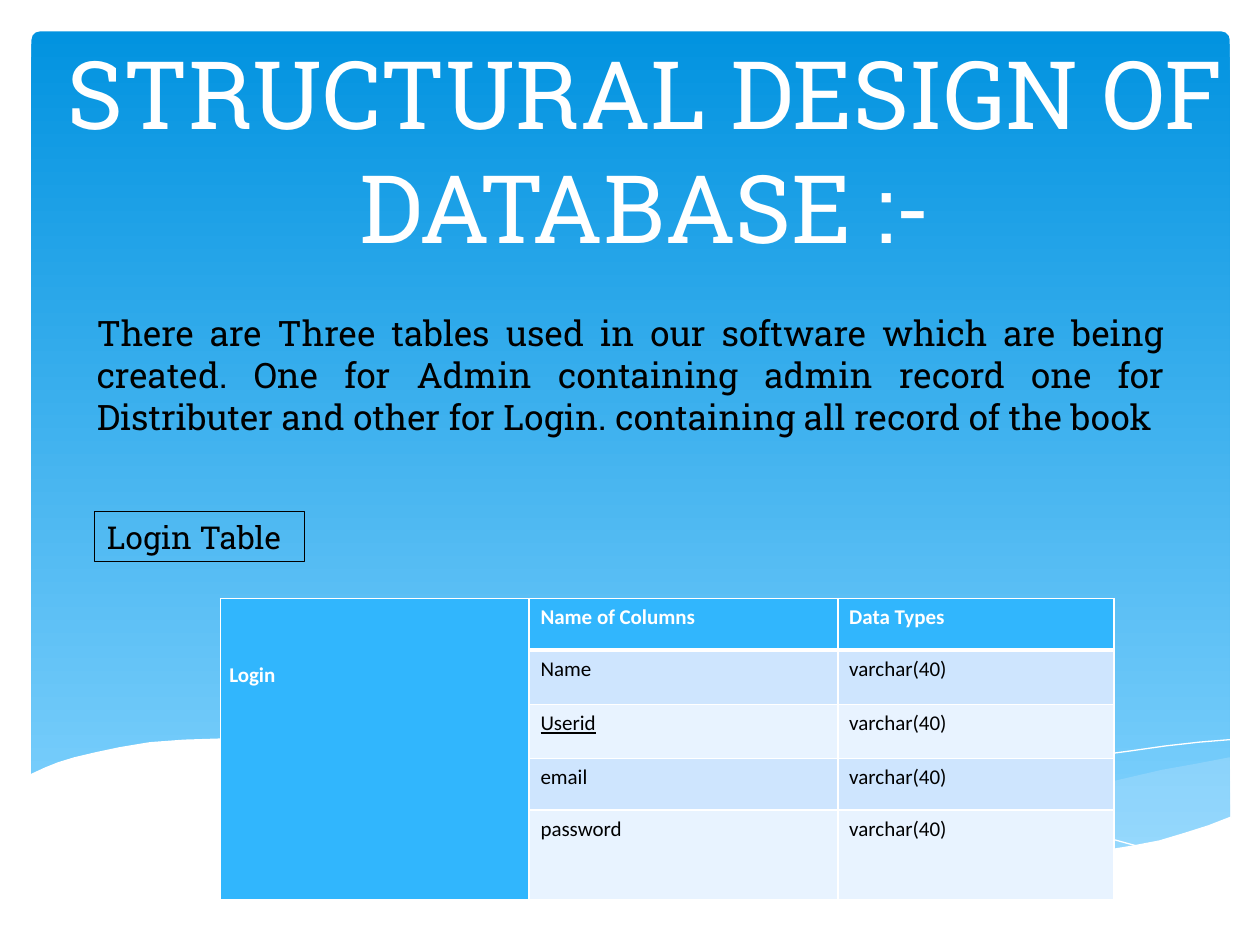
from dataclasses import dataclass

from lxml.etree import SubElement
from pptx import Presentation
from pptx.dml.color import RGBColor
from pptx.enum.shapes import MSO_SHAPE
from pptx.enum.text import MSO_ANCHOR, PP_ALIGN
from pptx.oxml.ns import qn
from pptx.util import Inches, Pt


@dataclass(frozen=True)
class Theme:
    white: str = "FFFFFF"
    black: str = "000000"
    sky: tuple = ("0293E0", "83D3FE")
    mist: str = "C6E7FC"
    head: str = "31B6FD"
    bands: tuple = ("CEE5FE", "E8F3FF")
    slab: str = "Roboto Slab"
    sans: str = "Calibri"
    title: int = 54
    body: int = 20
    label: int = 18
    cell: int = 12


THEME = Theme()

VEIL = [(9.76, 6.01), (9.5, 6.06), (9.22, 6.11), (8.92, 6.18), (8.62, 6.25),
        (8.06, 6.39), (7.54, 6.5), (7.07, 6.59), (6.62, 6.67), (6.92, 6.71),
        (7.33, 6.76), (7.7, 6.79), (8.04, 6.8), (8.45, 6.79), (8.82, 6.75),
        (9.14, 6.69), (9.44, 6.61), (9.64, 6.54), (9.77, 6.49)]
SWELL = [(8.94, 6.75), (8.38, 6.67), (7.76, 6.56), (7.07, 6.42), (6.3, 6.24),
         (5.7, 6.1), (5.15, 6), (4.65, 5.93), (4.2, 5.89), (3.8, 5.87),
         (3.45, 5.88), (3.14, 5.9), (2.87, 5.93), (3.23, 5.98), (3.63, 6.04),
         (4.05, 6.13), (4.5, 6.24), (5.3, 6.42), (6.02, 6.57), (6.66, 6.68),
         (7.23, 6.76), (7.74, 6.79), (8.19, 6.8), (8.59, 6.79)]
CREST = [(3.1, 5.97), (3.36, 5.93), (3.75, 5.9), (4.17, 5.89), (4.69, 5.9),
         (5.33, 5.96), (5.82, 6.02), (6.37, 6.1), (6.96, 6.21), (7.61, 6.35),
         (8.32, 6.52), (9.08, 6.73)]
RISE = [(6.14, 6.59), (6.53, 6.48), (6.96, 6.37), (7.49, 6.25), (8.07, 6.12),
        (8.67, 6), (8.97, 5.96), (9.25, 5.92), (9.52, 5.89), (9.76, 5.87)]
SHORE = [(9.77, 6.48), (9.59, 6.55), (9.4, 6.61), (9.2, 6.67), (8.99, 6.71),
         (8.75, 6.75), (8.5, 6.77), (8.09, 6.79), (7.61, 6.77), (7.08, 6.72),
         (6.48, 6.64), (5.79, 6.51), (5.03, 6.35), (4.47, 6.22), (3.91, 6.09),
         (3.4, 5.99), (2.92, 5.92), (2.5, 5.88), (2.11, 5.86), (1.77, 5.86),
         (1.46, 5.87), (1.19, 5.89), (0.95, 5.93), (0.76, 5.97), (0.59, 6.01),
         (0.46, 6.05), (0.36, 6.09), (0.23, 6.15), (0.23, 7.31), (9.77, 7.31)]


def tint(code):
    return RGBColor.from_string(code)


def apply(thing, values):
    for name, value in values.items():
        setattr(thing, name, value)


def write(para, text, size, face, code, align=PP_ALIGN.LEFT, **style):
    para.alignment = align
    run = para.add_run()
    run.text = text
    apply(run.font, dict(size=Pt(size), name=face, **style))
    run.font.color.rgb = tint(code)


def paint(shape, code, alpha=None):
    shape.fill.solid()
    shape.fill.fore_color.rgb = tint(code)
    if alpha:
        color = shape.fill._xPr.find(".//" + qn("a:srgbClr"))
        SubElement(color, qn("a:alpha"), val=str(alpha * 1000))


def draw_wave(slide, box, points, code=None, alpha=None):
    spots = [(Inches(x), Inches(y)) for x, y in points]
    path = slide.shapes.build_freeform(*spots[0], scale=1.0)
    path.add_line_segments(spots[1:], close=bool(code))
    shape = path.convert_to_shape(Inches(box[0]), Inches(box[1]))
    shape.shadow.inherit = False
    if code:
        paint(shape, code, alpha)
        shape.line.fill.background()
    else:
        shape.fill.background()
        shape.line.color.rgb = tint(THEME.white)
        shape.line.width = Pt(0)


def add_scene(slide, box):
    left, top, width, height = box
    panel = slide.shapes.add_shape(
        MSO_SHAPE.ROUNDED_RECTANGLE, Inches(left + 0.25), Inches(top + 0.25),
        Inches(width - 0.49), Inches(height - 0.9))
    panel.adjustments[0] = 0.01
    panel.shadow.inherit = False
    panel.line.fill.background()
    panel.fill.gradient()
    panel.fill.gradient_angle = 270
    for place, (stop, code) in enumerate(zip(panel.fill.gradient_stops, THEME.sky)):
        stop.position = place
        stop.color.rgb = tint(code)
    draw_wave(slide, box, VEIL, THEME.mist, 29)
    draw_wave(slide, box, SWELL, THEME.mist, 40)
    draw_wave(slide, box, CREST)
    draw_wave(slide, box, RISE)
    draw_wave(slide, box, SHORE, THEME.white)


def add_text(slide, box, text, size, code, align):
    frame = slide.shapes.add_textbox(*map(Inches, box)).text_frame
    frame.word_wrap = True
    write(frame.paragraphs[0], text, size, THEME.slab, code, align)


def add_label(slide, box, text):
    shape = slide.shapes.add_shape(MSO_SHAPE.RECTANGLE, *map(Inches, box))
    shape.shadow.inherit = False
    shape.fill.background()
    shape.line.color.rgb = tint(THEME.black)
    shape.line.width = Pt(0.75)
    apply(shape.text_frame, dict(word_wrap=True, vertical_anchor=MSO_ANCHOR.TOP))
    write(shape.text_frame.paragraphs[0], text, THEME.label, THEME.slab, THEME.black)


def edge(cell, **sides):
    props = cell._tc.get_or_add_tcPr()
    for side in "LRTB":
        line = SubElement(props, qn("a:ln" + side), w=str(Pt(sides.get(side, 1))))
        fill = SubElement(line, qn("a:solidFill"))
        SubElement(fill, qn("a:srgbClr"), val=THEME.white)


def add_grid(slide, box, name, rows, widths, heights):
    table = slide.shapes.add_table(
        len(rows), len(widths), *map(Inches, box)).table
    table.horz_banding = False
    for col, width in zip(table.columns, widths):
        col.width = Inches(width)
    for row, height in zip(table.rows, heights):
        row.height = Inches(height)
    table.cell(0, 0).merge(table.cell(len(rows) - 1, 0))
    for i, row in enumerate(rows):
        for j, text in enumerate((name if i == 0 else "", *row)):
            cell = table.cell(i, j)
            title = i == 0 or j == 0
            apply(cell, dict(margin_left=Inches(0.07 if j == 0 else 0.09),
                             margin_right=Inches(0.07), margin_bottom=0,
                             margin_top=Inches(0.48 if j == 0 else 0.02)))
            edge(cell, B=3 if i == 0 and j else 1, T=3 if i == 1 and j else 1)
            paint(cell, THEME.head if title else THEME.bands[(i + 1) % 2 if i % 2 else 1])
            if text:
                para = cell.text_frame.paragraphs[0]
                para.line_spacing = 1.15
                write(para, text, THEME.cell, THEME.sans,
                      THEME.white if title else THEME.black,
                      bold=title, underline=text == "Userid")


def main():
    deck = Presentation()
    apply(deck, dict(slide_width=Inches(10), slide_height=Inches(7.5)))
    slide = deck.slides.add_slide(deck.slide_layouts[6])
    add_scene(slide, (0, 0, 10, 7.5))
    add_text(slide, (0.25, 0.23, 9.75, 1.92), "STRUCTURAL DESIGN OF DATABASE :-",
             THEME.title, THEME.white, PP_ALIGN.CENTER)
    add_text(slide, (0.67, 2.42, 8.67, 1.45),
             "There are Three tables used in our software which are being created. "
             "One for Admin containing admin record one for Distributer and other "
             "for Login. containing all record of the book",
             THEME.body, THEME.black, PP_ALIGN.JUSTIFY)
    add_label(slide, (0.75, 4.06, 1.67, 0.4), "Login Table")
    fields = ["Name", "Userid", "email", "password"]
    rows = [("Name of Columns", "Data Types")] + [(f, "varchar(40)") for f in fields]
    add_grid(slide, (1.75, 4.75, 7.09, 2.37), "Login", rows,
             (2.45, 2.45, 2.19), (0.41, 0.43, 0.43, 0.41, 0.69))
    deck.save("out.pptx")


if __name__ == "__main__":
    main()
